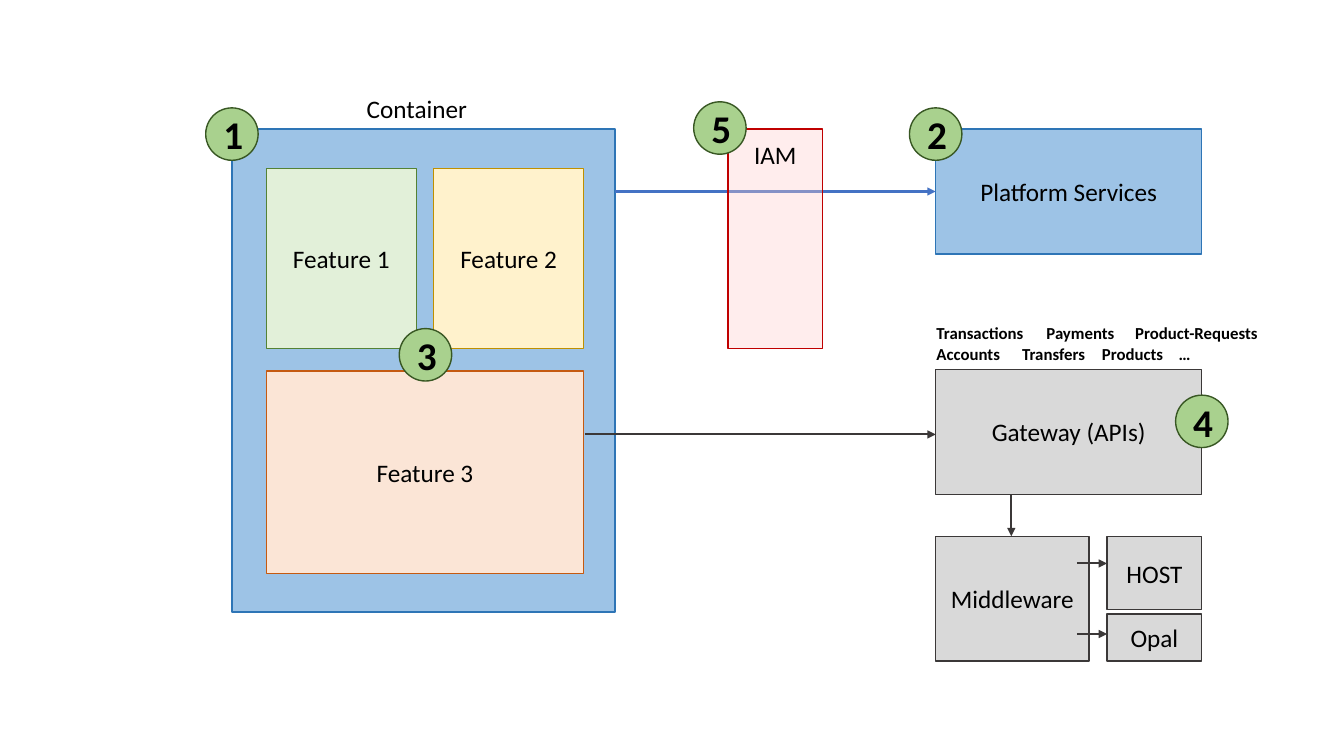
from lxml import etree
from pptx import Presentation
from pptx.dml.color import RGBColor
from pptx.enum.shapes import MSO_CONNECTOR, MSO_SHAPE
from pptx.enum.text import MSO_ANCHOR, MSO_AUTO_SIZE, PP_ALIGN
from pptx.oxml.ns import qn
from pptx.util import Inches, Pt

RECTANGLE, OVAL = MSO_SHAPE.RECTANGLE, MSO_SHAPE.OVAL
STRAIGHT = MSO_CONNECTOR.STRAIGHT
MIDDLE, TOP = MSO_ANCHOR.MIDDLE, MSO_ANCHOR.TOP
CENTER, LEFT = PP_ALIGN.CENTER, PP_ALIGN.LEFT
FIT_SHAPE = MSO_AUTO_SIZE.SHAPE_TO_FIT_TEXT
LEFT_SIDE = 1

FONT = "Calibri"
UNIT = 0.1  # inches per grid column and row
BADGE = 5.2

COLORS = {
    "text": "000000",
    "blue": "9DC3E6", "blue edge": "2E75B6", "blue arrow": "4472C4",
    "gray": "D9D9D9", "gray edge": "3B3838",
    "badge": "A9D18E", "badge edge": "385723",
    "pink": "FFCCCC", "pink edge": "C00000",
    "green": "E2F0D9", "green edge": "548235",
    "yellow": "FFF2CC", "yellow edge": "BF9000",
    "orange": "FBE5D6", "orange edge": "C55A11",
}


def grid(*cells):
    """Turn columns and rows into lengths."""
    return [Inches(cell * UNIT) for cell in cells]


def rgb(name):
    return RGBColor.from_string(COLORS[name])


def write(shape, text, size=18, bold=False, align=CENTER, anchor=MIDDLE):
    frame = shape.text_frame
    frame.vertical_anchor = anchor
    para = frame.paragraphs[0]
    para.alignment = align
    span = para.add_run()
    span.text = text
    span.font.name = FONT
    span.font.size = Pt(size)
    span.font.bold = bold
    span.font.color.rgb = rgb("text")


def add_block(page, area, color, text="", kind=RECTANGLE, **style):
    """Draw a filled shape edged in the darker tone of its colour."""
    block = page.shapes.add_shape(kind, *grid(*area))
    block.shadow.inherit = False
    block.fill.solid()
    block.fill.fore_color.rgb = rgb(color)
    block.line.color.rgb = rgb(color + " edge")
    block.line.width = Pt(1)
    if text:
        write(block, text, **style)
    return block


def add_badge(page, number, column, row):
    """Draw a numbered circle centred on a grid point."""
    area = (column - BADGE / 2, row - BADGE / 2, BADGE, BADGE)
    add_block(page, area, "badge", number, OVAL, size=28, bold=True)


def add_label(page, text, area, wrap=True, **style):
    box = page.shapes.add_textbox(*grid(*area))
    box.text_frame.word_wrap = wrap
    box.text_frame.auto_size = FIT_SHAPE
    write(box, text, anchor=TOP, **style)


def add_arrow(page, start, end, color="gray edge"):
    arrow = page.shapes.add_connector(STRAIGHT, *grid(*start, *end))
    arrow.line.color.rgb = rgb(color)
    arrow.line.width = Pt(1.5)
    etree.SubElement(arrow.line._get_or_add_ln(), qn("a:tailEnd"), type="triangle")
    etree.SubElement(arrow._element.spPr, qn("a:effectLst"))
    return arrow


def set_opacity(shape, percent):
    color = shape._element.spPr.find(qn("a:solidFill"))[0]
    etree.SubElement(color, qn("a:alpha"), val=str(percent * 1000))


def add_platform(page):
    add_block(page, (23, 12.8, 38, 47.9), "blue")
    add_label(page, "Container", (23, 8.8, 36.7, 4))
    add_badge(page, "1", 23, 13.3)
    services = add_block(page, (92.8, 12.8, 26.4, 12.4), "blue", "Platform Services")
    arrow = add_arrow(page, (61, 19), (92.8, 19), "blue arrow")
    arrow.end_connect(services, LEFT_SIDE)
    add_badge(page, "2", 92.8, 13.3)


def add_backend(page):
    add_block(page, (92.8, 36.65, 26.4, 12.4), "gray", "Gateway (APIs)")
    add_arrow(page, (58, 43.1), (92.8, 43.1))
    add_block(page, (92.8, 53.2, 15.2, 12.4), "gray", "Middleware")
    add_arrow(page, (100.3, 49.1), (100.3, 53.2))

    hosts = [("HOST", 53.2, 7.3, 55.9), ("Opal", 60.9, 4.7, 62.9)]
    for name, top, height, arrow_row in hosts:
        add_block(page, (109.8, top, 9.4, height), "gray", name)
        add_arrow(page, (106.8, arrow_row), (109.8, arrow_row))

    resources = {
        31.5: [("Transactions", 91.9, 10.7), ("Payments", 102.8, 8.8),
               ("Product-Requests", 111.6, 14.3)],
        33.6: [("Accounts", 91.9, 8.4), ("Transfers", 100.4, 8.3),
               ("Products", 108.3, 8.2), ("…", 115.9, 3.2)],
    }
    for row, names in resources.items():
        for name, column, width in names:
            add_label(page, name, (column, row, width, 3), wrap=False,
                      size=12, bold=True, align=LEFT)
    add_badge(page, "4", 119.2, 41.8)


def add_access(page):
    gate = add_block(page, (72.2, 12.8, 9.4, 21.8), "pink")
    set_opacity(gate, 35)
    add_label(page, "IAM", (72.2, 13.3, 9.4, 4))
    add_badge(page, "5", 71.4, 12.7)


def add_features(page):
    add_block(page, (26.4, 16.7, 14.9, 17.9), "green", "Feature 1")
    add_block(page, (43, 16.7, 14.9, 17.9), "yellow", "Feature 2")
    add_block(page, (26.4, 36.8, 31.5, 20.1), "orange", "Feature 3")
    add_badge(page, "3", 42.2, 35.2)


def main():
    deck = Presentation()
    deck.slide_width, deck.slide_height = Inches(13.33), Inches(7.5)
    page = deck.slides.add_slide(deck.slide_layouts[6])
    add_platform(page)
    add_backend(page)
    add_access(page)
    add_features(page)
    deck.save("out.pptx")


if __name__ == "__main__":
    main()
